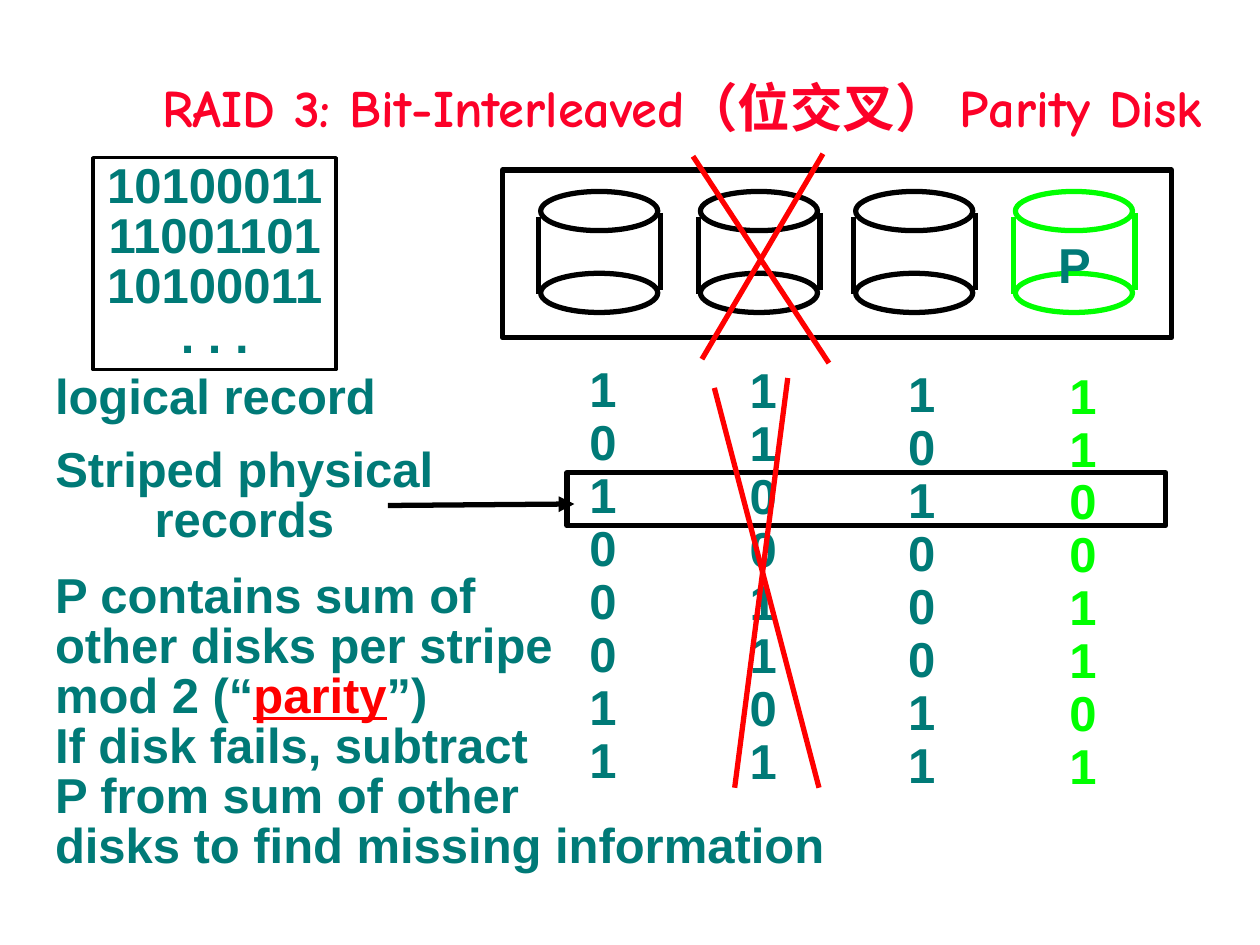
import dataclasses

import pptx
import pptx.dml.color
import pptx.enum.dml
import pptx.enum.shapes
import pptx.enum.text
import pptx.oxml
import pptx.oxml.ns
import pptx.util

Cm = pptx.util.Cm
Pt = pptx.util.Pt
Align = pptx.enum.text.PP_ALIGN
Shape = pptx.enum.shapes.MSO_SHAPE


@dataclasses.dataclass(frozen=True)
class Theme:
    title_font: str = "Comic Neue"
    body_font: str = "Arial"
    title_size: int = 30
    body_size: int = 28
    title: str = "FC0128"
    body: str = "007A77"
    ink: str = "000000"
    paper: str = "FFFFFF"
    parity: str = "00FF00"
    alert: str = "FF0000"
    thin: int = 2
    thick: int = 3
    tight: float = 0.85
    loose: float = 0.9


THEME = Theme()
DISK_LEFTS = (10.9, 14.12, 17.25, 20.47)
BIT_COLUMNS = (
    (11.63, 7.24, "10100011", THEME.body),
    (14.86, 7.26, "11001101", THEME.body),
    (18.06, 7.34, "10100011", THEME.body),
    (21.31, 7.37, "11001101", THEME.parity),
)
CROSS_STROKES = (
    (13.97, 3.15, 16.71, 7.32),
    (16.59, 3.1, 14.15, 7.24),
    (14.4, 7.82, 16.51, 15.88),
    (15.88, 7.62, 14.81, 15.88),
)


def rgb(color):
    return pptx.dml.color.RGBColor.from_string(color)


def style_span(span, color, size=THEME.body_size, name=THEME.body_font):
    span.font.name = name
    span.font.size = Pt(size)
    span.font.bold = True
    span.font.color.rgb = rgb(color)


def write_lines(frame, lines, color=THEME.body, align=Align.LEFT, spacing=THEME.tight):
    frame.word_wrap = False
    frame.auto_size = pptx.enum.text.MSO_AUTO_SIZE.SHAPE_TO_FIT_TEXT
    frame.text = "\n".join(lines)
    for para in frame.paragraphs:
        para.alignment = align
        para.line_spacing = spacing
        for span in para.runs:
            style_span(span, color)


def add_text(page, area, lines, **style):
    box = page.shapes.add_textbox(*map(Cm, area))
    write_lines(box.text_frame, lines, **style)
    return box


def add_outline(shapes, kind, area, color=THEME.ink, width=THEME.thick, fill=None):
    shape = shapes.add_shape(kind, *map(Cm, area))
    shape.shadow.inherit = False
    shape.line.color.rgb = rgb(color)
    shape.line.width = Pt(width)
    if fill:
        shape.fill.solid()
        shape.fill.fore_color.rgb = rgb(fill)
    else:
        shape.fill.background()
    return shape


def add_line(shapes, ends, color=THEME.ink, arrow=False):
    line = shapes.add_connector(pptx.enum.shapes.MSO_CONNECTOR.STRAIGHT, *map(Cm, ends))
    line.line.color.rgb = rgb(color)
    line.line.width = Pt(THEME.thick)
    if arrow:
        head = pptx.oxml.parse_xml(
            f'<a:tailEnd {pptx.oxml.ns.nsdecls("a")} type="triangle"/>')
        line.line._get_or_add_ln().append(head)
    effects = pptx.oxml.parse_xml(f'<a:effectLst {pptx.oxml.ns.nsdecls("a")}/>')
    line._element.spPr.append(effects)


def add_disk(page, left, color):
    disk = page.shapes.add_group_shape()
    for top in (3.86, 5.51):
        add_outline(disk.shapes, Shape.OVAL, (left, top, 2.36, 0.79), color,
                    fill=THEME.paper)
    for x, top in ((left - 0.04, 4.37), (left + 2.41, 4.29)):
        add_line(disk.shapes, (x, top, x, top + 1.55), color)


def add_title(page):
    title = page.shapes.title
    title.left, title.top, title.width, title.height = map(Cm, (2.11, 0.43, 23.29, 3.61))
    frame = title.text_frame
    frame.text = "RAID 3: Bit-Interleaved（位交叉） Parity Disk"
    frame.auto_size = pptx.enum.text.MSO_AUTO_SIZE.NONE
    frame.vertical_anchor = pptx.enum.text.MSO_ANCHOR.MIDDLE
    para = frame.paragraphs[0]
    para.alignment = Align.CENTER
    para.line_spacing = THEME.loose
    style_span(para.runs[0], THEME.title, THEME.title_size, THEME.title_font)


def add_disk_array(page):
    for left in DISK_LEFTS[:-1]:
        add_disk(page, left, THEME.ink)
    add_disk(page, DISK_LEFTS[-1], THEME.parity)
    add_outline(page.shapes, Shape.RECTANGLE, (10.13, 3.43, 13.49, 3.38))
    add_text(page, (21.08, 4.78, 1.17, 1.24), ["P"])


def add_logical_record(page):
    record = add_outline(page.shapes, Shape.RECTANGLE, (1.88, 3.18, 4.9, 4.27),
                         width=THEME.thin, fill=THEME.paper)
    record.text_frame.vertical_anchor = pptx.enum.text.MSO_ANCHOR.MIDDLE
    write_lines(record.text_frame, ["10100011", "11001101", "10100011", ". . ."],
                align=Align.CENTER)
    add_text(page, (0.86, 7.42, 6.99, 1.24), ["logical record"])


def add_explanation(page):
    box = add_text(page, (0.86, 11.43, 16.03, 6.3), [
        "P contains sum of",
        "other disks per stripe \vmod 2 (“",
        "If disk fails, subtract",
        "P from sum of other \vdisks to find missing information",
    ])
    para = box.text_frame.paragraphs[1]
    for text, color, underline in (("parity", THEME.alert, True), ("”)", THEME.body, False)):
        span = para.add_run()
        span.text = text
        style_span(span, color)
        span.font.underline = underline


def add_stripe(page):
    add_line(page.shapes, (7.82, 10.19, 11.58, 10.16), arrow=True)
    add_text(page, (0.86, 8.89, 8.13, 2.26), ["Striped physical", "records"],
             align=Align.CENTER)
    add_outline(page.shapes, Shape.RECTANGLE, (11.43, 9.53, 12.07, 1.07))


def main():
    deck = pptx.Presentation()
    deck.slide_width, deck.slide_height = Cm(25.4), Cm(19.05)
    page = deck.slides.add_slide(deck.slide_layouts.get_by_name("Title Only"))
    add_title(page)
    add_disk_array(page)
    add_logical_record(page)
    for left, top, bits, color in BIT_COLUMNS:
        add_text(page, (left, top, 1.04, 8.79), bits, color=color, spacing=THEME.loose)
    add_explanation(page)
    add_stripe(page)
    for ends in CROSS_STROKES:
        add_line(page.shapes, ends, THEME.alert)
    deck.save("out.pptx")


if __name__ == "__main__":
    main()
